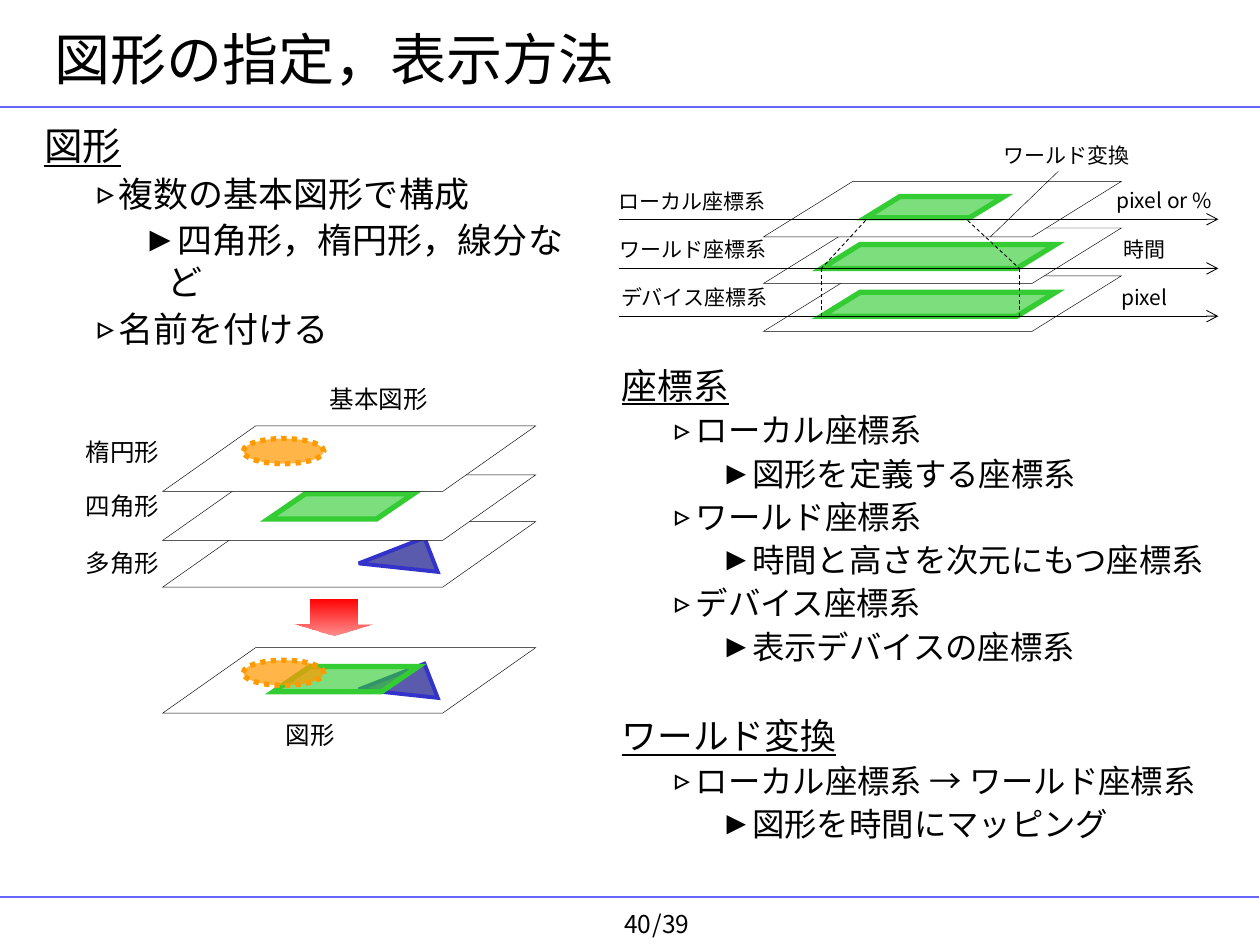
from lxml.etree import SubElement
from pptx import Presentation
from pptx.dml.color import RGBColor
from pptx.enum.dml import MSO_LINE
from pptx.enum.shapes import MSO_CONNECTOR, MSO_SHAPE
from pptx.enum.text import MSO_ANCHOR, MSO_AUTO_SIZE, PP_ALIGN
from pptx.oxml.ns import qn
from pptx.util import Pt

FONT = "Noto Sans CJK JP"
BLACK, WHITE, RULE_BLUE = "000000", "FFFFFF", "6666FF"
GREEN = "33CC33"
STRAIGHT = MSO_CONNECTOR.STRAIGHT
PARALLELOGRAM = MSO_SHAPE.PARALLELOGRAM
DASH, DOTS = MSO_LINE.DASH, MSO_LINE.ROUND_DOT
NO_FIT, GROW = MSO_AUTO_SIZE.NONE, MSO_AUTO_SIZE.SHAPE_TO_FIT_TEXT
color = RGBColor.from_string


def add_run(paragraph, text, size, underline=False):
    run = paragraph.add_run()
    run.text = text
    run.font.name = FONT
    run.font.size = Pt(size)
    run.font.color.rgb = color(BLACK)
    run.font.underline = underline
    SubElement(run.font._element, qn("a:ea"), typeface=FONT)


def add_figure(kind, box, fill, line, width, opacity=100, slant=None):
    """Add a preset shape; opacity is in percent, slant its first adjustment."""
    shape = slide.shapes.add_shape(kind, *[Pt(length) for length in box])
    shape.shadow.inherit = False
    shape.fill.solid()
    shape.fill.fore_color.rgb = color(fill)
    if opacity < 100:
        fill_color = next(shape._element.spPr.iter(qn("a:srgbClr")))
        SubElement(fill_color, qn("a:alpha"), val=str(opacity * 1000))
    shape.line.color.rgb = color(line)
    shape.line.width = Pt(width)
    SubElement(shape.line._get_or_add_ln(), qn("a:miter"), lim="800000")
    if slant:
        shape.adjustments[0] = slant
    return shape


presentation = Presentation()
presentation.slide_width, presentation.slide_height = Pt(720), Pt(540)
slide = presentation.slides.add_slide(presentation.slide_layouts[3])
title, left_body, right_body = slide.placeholders

# Title
title.left, title.top, title.width, title.height = Pt(23.8), Pt(12.2), Pt(672), Pt(41.8)
title.text_frame.auto_size = NO_FIT
title.text_frame.vertical_anchor = MSO_ANCHOR.MIDDLE
title.text_frame.paragraphs[0].alignment = PP_ALIGN.LEFT
add_run(title.text_frame.paragraphs[0], "図形の指定，表示方法", 32)

# Lists: each item is (level, text); the sizes are for headings and for points
left_items = [
    (0, "図形"),
    (1, "複数の基本図形で構成"),
    (2, "四角形，楕円形，線分など"),
    (1, "名前を付ける"),
]
right_items = [
    (0, "座標系"),
    (1, "ローカル座標系"),
    (2, "図形を定義する座標系"),
    (1, "ワールド座標系"),
    (2, "時間と高さを次元にもつ座標系"),
    (1, "デバイス座標系"),
    (2, "表示デバイスの座標系"),
    (0, "ワールド変換"),
    (1, "ローカル座標系 → ワールド座標系"),
    (2, "図形を時間にマッピング"),
]
bullets = [None, "▹", "►"]
for body, box, items, heading_size, point_size in [
    (right_body, (348, 204, 360, 300), right_items, 20.4, 18.5),
    (left_body, (18, 66, 318, 441), left_items, 22, 20),
]:
    body.left, body.top, body.width, body.height = [Pt(length) for length in box]
    frame = body.text_frame
    frame.auto_size = NO_FIT
    for index, (level, text) in enumerate(items):
        paragraph = frame.add_paragraph() if index else frame.paragraphs[0]
        paragraph.level = level
        paragraph.space_before = Pt(2.5 if level else 27.5 if index else 2.8)
        properties = paragraph._p.get_or_add_pPr()
        properties.set("marL", str(Pt(14.2 + 28.2 * level)))
        properties.set("indent", str(-Pt(14.2)))
        if level:
            bullet_color = SubElement(properties, qn("a:buClr"))
            SubElement(bullet_color, qn("a:srgbClr"), val=BLACK)
            SubElement(properties, qn("a:buChar"), char=bullets[level])
        else:
            SubElement(properties, qn("a:buNone"))
        add_run(paragraph, text, point_size if level else heading_size, level == 0)

# Layers of basic figures, then the layer that combines them
layers = [
    (298.1, ["triangle"], 0),
    (271.4, ["quadrilateral"], 153.4),
    (243.4, ["ellipse"], 0),
    (370.1, ["triangle", "quadrilateral", "ellipse"], 156.2),
]
for top, figures, quadrilateral_left in layers:
    add_figure(PARALLELOGRAM, (93, top, 213.1, 37.4), WHITE, BLACK, 0.25, slant=1.42)
    if "triangle" in figures:
        triangle = add_figure(MSO_SHAPE.RIGHT_TRIANGLE, (207.4, top + 15.8, 40.3, 20.9),
                              "333399", "3333CC", 2.25, 80)
        triangle.rotation = 158.7
    if "quadrilateral" in figures:
        add_figure(PARALLELOGRAM, (quadrilateral_left, top + 10.8, 82.8, 14.4),
                   GREEN, GREEN, 3, 64, 1.46)
    if "ellipse" in figures:
        ellipse = add_figure(MSO_SHAPE.OVAL, (139, top + 7.2, 46, 14.4),
                             "FF9900", "FF9900", 3, 72)
        ellipse.line.dash_style = DOTS

arrow = slide.shapes.add_shape(MSO_SHAPE.RIGHT_ARROW, Pt(180), Pt(329.8), Pt(20.9), Pt(46))
arrow.shadow.inherit = False
arrow.rotation = 90
arrow.adjustments[0], arrow.adjustments[1] = 0.59, 0.33
arrow.line.fill.background()
arrow.fill.gradient()
arrow.fill.gradient_angle = 0
for stop in arrow.fill.gradient_stops:
    stop.color.rgb = color("FF0000")
end_color = arrow._element.spPr.findall(".//" + qn("a:srgbClr"))[-1]
SubElement(end_color, qn("a:alpha"), val="42000")

# Coordinate systems
for top in (157.7, 130.3, 103.7):
    add_figure(PARALLELOGRAM, (436.3, top, 204.5, 31.7), WHITE, BLACK, 0.25, slant=1.61)
for box in [(469.4, 167, 133.9, 13.7), (469.4, 139.7, 133.9, 13.7), (494.6, 112.3, 79.2, 12.2)]:
    add_figure(PARALLELOGRAM, box, GREEN, GREEN, 3, 64, 1.62)

# Lines: start, end, colour, width, dash, arrowhead
lines = [
    ((0, 61.2), (720, 61.2), RULE_BLUE, 1.5, None, False),
    ((0, 512.6), (719.3, 512.6), RULE_BLUE, 1.5, None, False),
    ((565.9, 135.4), (604.8, 97.9), BLACK, 0.25, None, False),
]
for y in (125.3, 153.4, 180.7):
    lines.append(((353.5, y), (696.2, y), BLACK, 0.5, None, True))
for local_x, world_x in [(494.6, 469.4), (553, 582.5)]:
    lines.append(((world_x, 180.7), (world_x, 153.4), BLACK, 0.5, DASH, False))
    lines.append(((local_x, 126), (world_x, 153.4), BLACK, 0.5, DASH, False))
for start, end, line_color, width, dash, has_arrowhead in lines:
    connector = slide.shapes.add_connector(STRAIGHT, *[Pt(length) for length in start + end])
    connector.line.color.rgb = color(line_color)
    connector.line.width = Pt(width)
    if dash:
        connector.line.dash_style = dash
    if has_arrowhead:
        SubElement(connector.line._get_or_add_ln(), qn("a:tailEnd"), type="arrow")
    SubElement(connector._element.spPr, qn("a:effectLst"))

# Labels: text, left, top, width, height, size
labels = [
    ("図形", 156.2, 408.2, 44, 24.5, 14),
    ("楕円形", 41.8, 246.2, 60, 24.5, 14),
    ("四角形", 41.8, 277.2, 60, 24.5, 14),
    ("多角形", 41.8, 309.6, 60, 24.5, 14),
    ("基本図形", 181.4, 216, 74, 24.5, 14),
    ("ローカル座標系", 346.3, 104.4, 102, 21.6, 12),
    ("ワールド座標系", 347, 131.8, 102, 21.6, 12),
    ("デバイス座標系", 347.8, 159.1, 102, 21.6, 12),
    ("pixel or %", 630.7, 103.7, 72, 21.6, 12),
    ("時間", 635, 131.8, 40, 21.6, 12),
    ("pixel", 633.6, 159.1, 44, 21.6, 12),
    ("ワールド変換", 566.6, 77.8, 90, 21.6, 12),
]
for text, left, top, width, height, size in labels:
    label = slide.shapes.add_textbox(Pt(left), Pt(top), Pt(width), Pt(height))
    label.text_frame.word_wrap = False
    label.text_frame.auto_size = GROW
    add_run(label.text_frame.paragraphs[0], text, size)

# Page number and page count meet at the same edge
for text, left, width, alignment, right_inset in [
    ("40", 324, 48.2, PP_ALIGN.RIGHT, 0),
    ("/39", 365.8, 36, PP_ALIGN.LEFT, 7.2),
]:
    page_box = slide.shapes.add_textbox(Pt(left), Pt(516.2), Pt(width), Pt(23.8))
    page_box.text_frame.word_wrap = True
    page_box.text_frame.margin_right = Pt(right_inset)
    page_box.text_frame.paragraphs[0].alignment = alignment
    add_run(page_box.text_frame.paragraphs[0], text, 14)

presentation.save("out.pptx")
